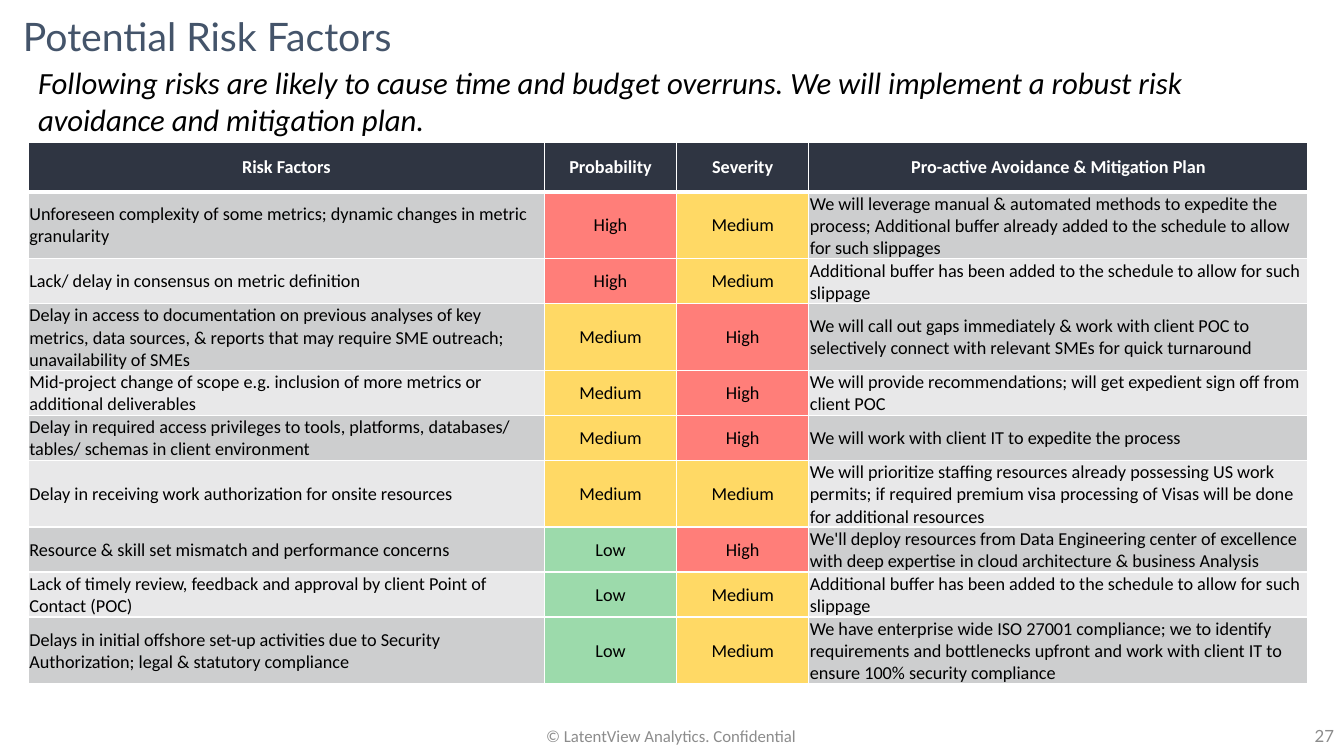
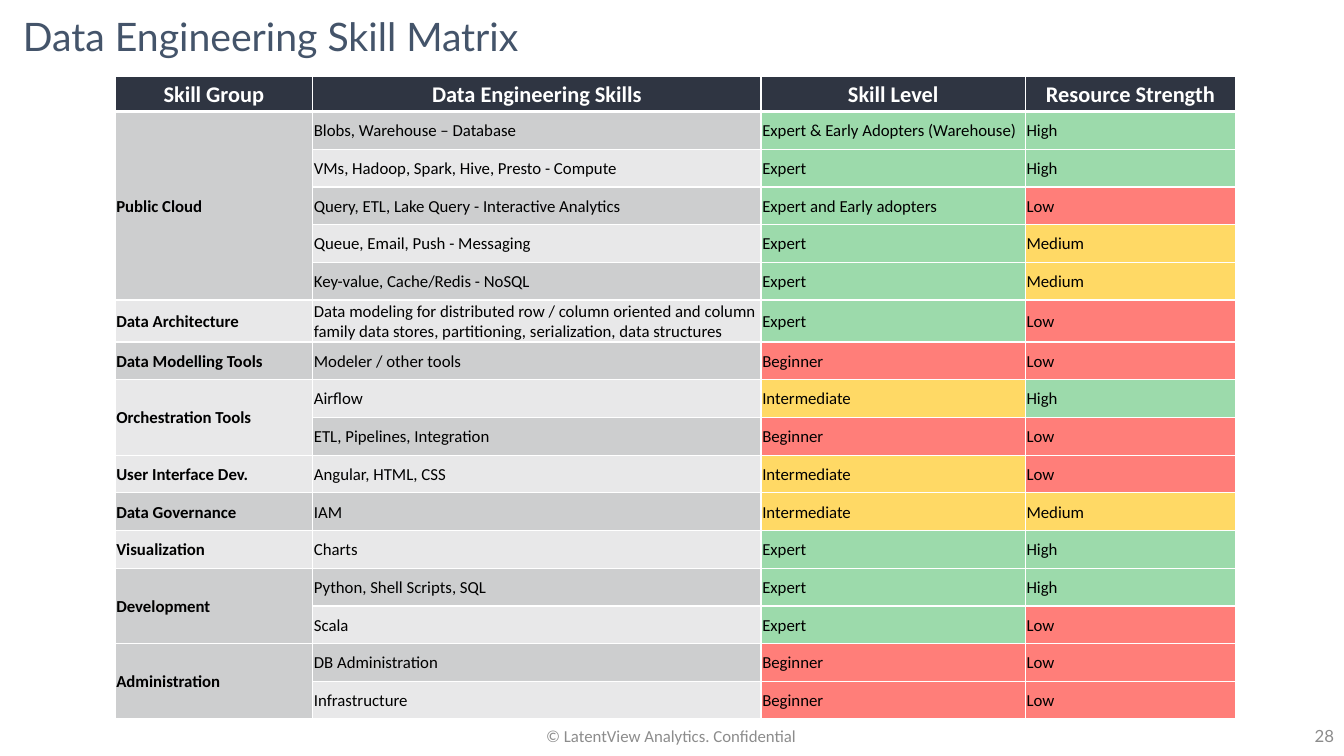
from pptx import Presentation
from pptx.dml.color import RGBColor
from pptx.enum.text import MSO_ANCHOR as ANCHOR, PP_ALIGN as ALIGN
from pptx.oxml.ns import qn
from pptx.util import Cm, Pt
from lxml.etree import SubElement

WIDTH, HEIGHT = 33.87, 19.05
BODY_FONT, TITLE_FONT = "Calibri", "Lato"
SLATE, GREY, BLACK, WHITE = "44546A", "8C8C8C", "000000", "FFFFFF"
HEADER, BANDS = "2F3542", ("E8E8E9", "CDCECF")
RED, AMBER, GREEN = "FF7E79", "FFD965", "9CDAAB"
RISK_FILLS = {"High": RED, "Medium": AMBER, "Low": GREEN}
LEVEL_FILLS = {"Expert": GREEN, "Intermediate": AMBER, "Beginner": RED,
               "High": GREEN, "Medium": AMBER, "Low": RED}

RISK_HEADS = ("Risk Factors", "Probability", "Severity",
              "Pro-active Avoidance & Mitigation Plan")
RISKS = [
    ("Unforeseen complexity of some metrics; dynamic changes in metric granularity",
     "High", "Medium",
     "We will leverage manual & automated methods to expedite the process; Additional "
     "buffer already added to the schedule to allow for such slippages"),
    ("Lack/ delay in consensus on metric definition", "High", "Medium",
     "Additional buffer has been added to the schedule to allow for such slippage"),
    ("Delay in access to documentation on previous analyses of key metrics, data sources, "
     "& reports that may require SME outreach; unavailability of SMEs", "Medium", "High",
     "We will call out gaps immediately & work with client POC to selectively connect "
     "with relevant SMEs for quick turnaround"),
    ("Mid-project change of scope e.g. inclusion of more metrics or additional deliverables",
     "Medium", "High",
     "We will provide recommendations; will get expedient sign off from client POC"),
    ("Delay in required access privileges to tools, platforms, databases/ tables/ schemas "
     "in client environment", "Medium", "High",
     "We will work with client IT to expedite the process"),
    ("Delay in receiving work authorization for onsite resources", "Medium", "Medium",
     "We will prioritize staffing resources already possessing US work permits; if required "
     "premium visa processing of Visas will be done for additional resources"),
    ("Resource & skill set mismatch and performance concerns", "Low", "High",
     "We'll deploy resources from Data Engineering center of excellence with deep "
     "expertise in cloud architecture & business Analysis"),
    ("Lack of timely review, feedback and approval by client Point of Contact (POC)",
     "Low", "Medium",
     "Additional buffer has been added to the schedule to allow for such slippage"),
    ("Delays in initial offshore set-up activities due to Security Authorization; legal & "
     "statutory compliance", "Low", "Medium",
     "We have enterprise wide ISO 27001 compliance; we to identify requirements and "
     "bottlenecks upfront and work with client IT to ensure 100% security compliance"),
]

SKILL_HEADS = ("Skill Group", "Data Engineering Skills", "Skill Level", "Resource Strength")
SKILLS = [
    ("Public Cloud", "Blobs, Warehouse – Database", "Expert & Early Adopters (Warehouse)", "High"),
    ("", "VMs, Hadoop, Spark, Hive, Presto - Compute", "Expert", "High"),
    ("", "Query, ETL, Lake Query - Interactive Analytics", "Expert and Early adopters", "Low"),
    ("", "Queue, Email, Push - Messaging", "Expert", "Medium"),
    ("", "Key-value, Cache/Redis - NoSQL", "Expert", "Medium"),
    ("Data Architecture",
     "Data modeling for distributed row / column oriented and column family data stores, "
     "partitioning, serialization, data structures", "Expert", "Low"),
    ("Data Modelling Tools", "Modeler / other tools", "Beginner", "Low"),
    ("Orchestration Tools", "Airflow", "Intermediate", "High"),
    ("", "ETL, Pipelines, Integration", "Beginner", "Low"),
    ("User Interface Dev.", "Angular, HTML, CSS", "Intermediate", "Low"),
    ("Data Governance", "IAM", "Intermediate", "Medium"),
    ("Visualization", "Charts", "Expert", "High"),
    ("Development", "Python, Shell Scripts, SQL", "Expert", "High"),
    ("", "Scala", "Expert", "Low"),
    ("Administration", "DB Administration", "Beginner", "Low"),
    ("", "Infrastructure", "Beginner", "Low"),
]


def rgb(value):
    """Turn a hex string into a colour."""
    return RGBColor.from_string(value)


def set_text(tf, text, size, color, font=BODY_FONT, align=ALIGN.LEFT, bold=False, italic=False):
    """Fill a text frame with one formatted paragraph."""
    tf.text = text
    p = tf.paragraphs[0]
    p.alignment = align
    for r in p.runs:
        r.font.name, r.font.size = font, Pt(size)
        r.font.bold, r.font.italic = bold, italic
        r.font.color.rgb = rgb(color)
    return p


def add_text(slide, box, text, size, color, anchor=ANCHOR.MIDDLE, **style):
    """Add a wrapping text box in box (left, top, width, height)."""
    tf = slide.shapes.add_textbox(*map(Cm, box)).text_frame
    tf.word_wrap = True
    tf.vertical_anchor = anchor
    return set_text(tf, text, size, color, **style)


def add_frame(prs, title, number):
    """Add a slide with its title, footer and page number."""
    slide = prs.slides.add_slide(prs.slide_layouts[6])
    foot_top, foot_h = 18.03, 1.02
    add_text(slide, (11.2, foot_top, 11.43, foot_h), "© LatentView Analytics. Confidential",
             12, GREY, align=ALIGN.CENTER)
    add_text(slide, (WIDTH - 7.62, foot_top, 7.62, foot_h), str(number), 12, GREY,
             font=TITLE_FONT, align=ALIGN.RIGHT)
    p = add_text(slide, (0.33, 0, 31.12, 1.96), title, 28, SLATE, font=TITLE_FONT)
    p.line_spacing = 0.9
    return slide


def set_borders(cell, top, bottom):
    """Draw white cell borders with the given top and bottom widths in points."""
    tc_pr = cell._tc.get_or_add_tcPr()
    for side, width in (("L", 1), ("R", 1), ("T", top), ("B", bottom)):
        ln = SubElement(tc_pr, qn(f"a:ln{side}"), w=str(Pt(width)))
        fill = SubElement(ln, qn("a:solidFill"))
        SubElement(fill, qn("a:srgbClr"), val=WHITE)


def set_cell(cell, row, text, fill, size, color, **style):
    """Format one table cell."""
    cell.margin_left = cell.margin_top = cell.margin_right = Cm(0.03)
    cell.margin_bottom = 0
    cell.vertical_anchor = ANCHOR.MIDDLE
    set_borders(cell, 3 if row == 1 else 1, 3 if row == 0 else 1)
    cell.fill.solid()
    cell.fill.fore_color.rgb = rgb(fill)
    set_text(cell.text_frame, text, size, color, **style)


def add_rating_table(slide, left, top, widths, heights, heads, rows, fills, sizes,
                     rated, centered=(), bold=()):
    """Add a banded table whose rated columns are coloured by their first word."""
    box = map(Cm, (left, top, sum(widths), sum(heights)))
    table = slide.shapes.add_table(len(heights), len(widths), *box).table
    table.horz_banding = False
    for column, width in zip(table.columns, widths):
        column.width = Cm(width)
    for table_row, height in zip(table.rows, heights):
        table_row.height = Cm(height)
    for j, head in enumerate(heads):
        set_cell(table.cell(0, j), 0, head, HEADER, sizes[0], WHITE,
                 align=ALIGN.CENTER, bold=True)
    for i, row in enumerate(rows, 1):
        for j, text in enumerate(row):
            fill = fills[text.split()[0]] if j in rated else BANDS[i % 2]
            set_cell(table.cell(i, j), i, text, fill, sizes[1], BLACK, bold=j in bold,
                     align=ALIGN.CENTER if j in centered else ALIGN.LEFT)
    return table


def merge_groups(table, rows):
    """Merge each named first-column cell with the unnamed cells below it."""
    starts = [i for i, row in enumerate(rows, 1) if row[0]] + [len(rows) + 1]
    for start, end in zip(starts, starts[1:]):
        if end - start > 1:
            table.cell(start, 0).merge(table.cell(end - 1, 0))


def add_risk_slide(prs):
    """Build the risk factor slide."""
    slide = add_frame(prs, "Potential Risk Factors", 27)
    add_text(slide, (0.71, 1.47, 32.21, 2.13),
             "Following risks are likely to cause time and budget overruns. We will implement "
             "a robust risk avoidance and mitigation plan.",
             22, BLACK, anchor=ANCHOR.TOP, italic=True)
    tall, short = 1.65, 1.12
    heights = [1.25] + [tall, short, tall, short, short, tall, short, short, tall]
    add_rating_table(slide, 0.71, 3.58, (13.01, 3.33, 3.33, 12.58), heights, RISK_HEADS,
                     RISKS, RISK_FILLS, (13, 13), rated=(1, 2), centered=(1, 2))


def add_skill_slide(prs):
    """Build the skill matrix slide."""
    slide = add_frame(prs, "Data Engineering Skill Matrix", 28)
    heights = [0.89] + [1.06 if len(row[1]) > 60 else 0.95 for row in SKILLS]
    table = add_rating_table(slide, 2.9, 1.92, (4.98, 11.3, 6.66, 5.3), heights, SKILL_HEADS,
                             SKILLS, LEVEL_FILLS, (16, 12), rated=(2, 3), bold=(0,))
    merge_groups(table, SKILLS)


def main():
    """Build and save the presentation."""
    prs = Presentation()
    prs.slide_width, prs.slide_height = Cm(WIDTH), Cm(HEIGHT)
    add_risk_slide(prs)
    add_skill_slide(prs)
    prs.save("out.pptx")


if __name__ == "__main__":
    main()
